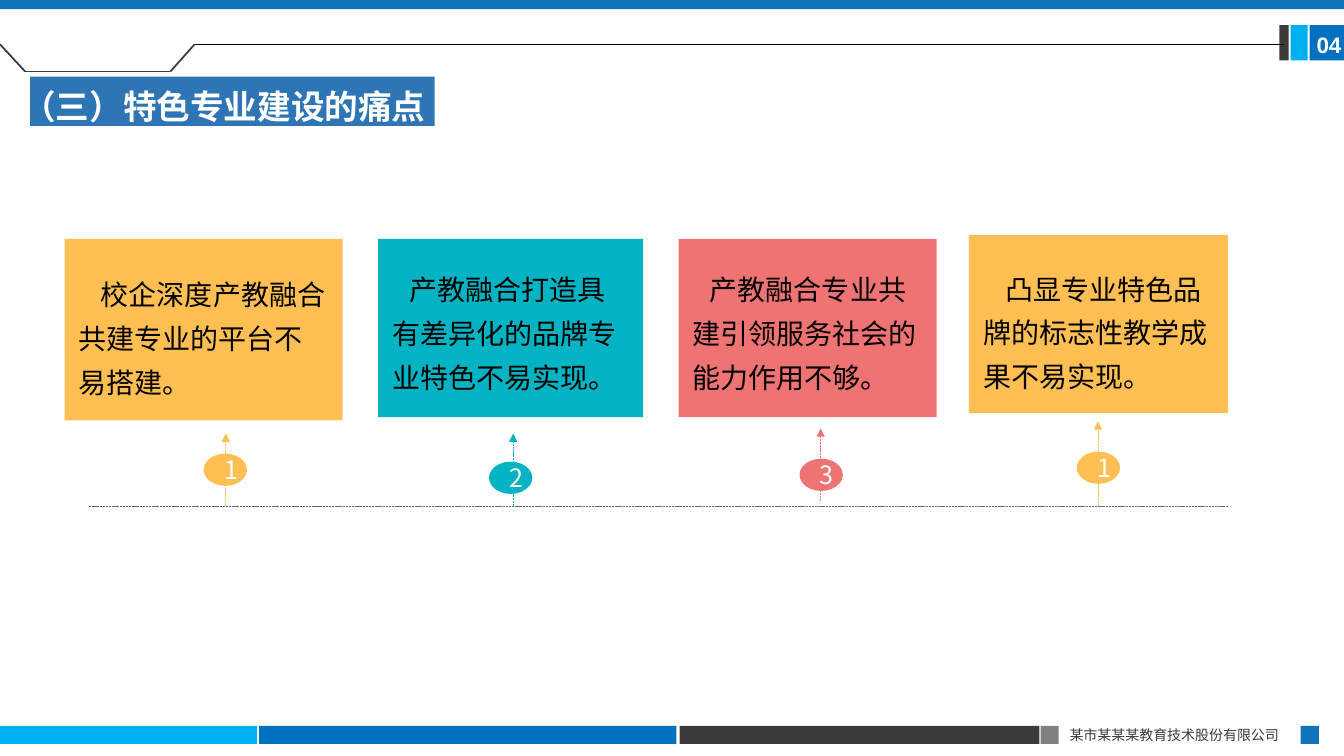
"""Build the slide on the pain points of building distinctive majors."""
from pptx import Presentation
from pptx.dml.color import RGBColor
from pptx.enum.dml import MSO_LINE
from pptx.enum.shapes import MSO_CONNECTOR, MSO_SHAPE
from pptx.enum.text import MSO_ANCHOR, PP_ALIGN
from pptx.oxml.ns import qn
from pptx.util import Inches, Pt
from lxml import etree

RECT, OVAL = MSO_SHAPE.RECTANGLE, MSO_SHAPE.OVAL
STRAIGHT, DASH = MSO_CONNECTOR.STRAIGHT, MSO_LINE.SQUARE_DOT
TOP, MIDDLE = MSO_ANCHOR.TOP, MSO_ANCHOR.MIDDLE
LEFT, CENTER, JUSTIFY = PP_ALIGN.LEFT, PP_ALIGN.CENTER, PP_ALIGN.JUSTIFY
CJK = "Noto Sans CJK SC"

COLORS = {
    "sky": "00B0F0", "blue": "0070C0", "deep": "1074BB", "dark": "3E3A39",
    "gray": "808080", "title": "2E75B6", "amber": "FFBF53", "teal": "02B3C3",
    "coral": "EF7373", "rule": "666666", "black": "000000",
    "white": "FFFFFF", "pale": "FEFFFF",
}

TITLE = "（三）特色专业建设的痛点"
FOOTER = "某市某某某教育技术股份有限公司"
PAGE = "04"

BARS = [
    (0, 7.2, 2.55, 0.18, "sky"),
    (2.57, 7.2, 4.14, 0.18, "blue"),
    (6.74, 7.2, 3.57, 0.18, "dark"),
    (10.32, 7.2, 0.18, 0.18, "gray"),
    (12.9, 7.2, 0.18, 0.18, "deep"),
    (12.99, 0.25, 0.35, 0.35, "blue"),
    (12.8, 0.25, 0.17, 0.35, "sky"),
    (12.69, 0.25, 0.09, 0.35, "dark"),
    (0, 0, 13.33, 0.09, "deep"),
    (0.3, 0.76, 4.01, 0.49, "title"),
]
TAB = [(0, 0.44), (0.25, 0.71), (1.69, 0.71), (1.93, 0.44)]
BASE = 5.02

CARDS = [
    {"text": "校企深度产教融合共建专业的平台不易搭建。", "color": "amber",
     "box": (0.64, 2.37, 2.76, 1.8), "indent": 0.22, "inset": 0.14,
     "num": "1", "oval": (2.02, 4.5), "stem": (2.24, BASE, 4.3)},
    {"text": "产教融合打造具有差异化的品牌专业特色不易实现。", "color": "teal",
     "box": (3.75, 2.37, 2.63, 1.77), "indent": 0.17, "inset": 0.07,
     "num": "2", "oval": (4.85, 4.58), "stem": (5.09, BASE, 4.3)},
    {"text": "产教融合专业共建引领服务社会的能力作用不够。", "color": "coral",
     "box": (6.73, 2.37, 2.56, 1.77), "indent": 0.17, "inset": 0.07,
     "num": "3", "oval": (7.93, 4.55), "stem": (8.14, 4.97, 4.25)},
    {"text": "凸显专业特色品牌的标志性教学成果不易实现。", "color": "amber",
     "box": (9.61, 2.33, 2.57, 1.77), "indent": 0.22, "inset": 0.14,
     "num": "1", "oval": (10.68, 4.48), "stem": (10.89, BASE, 4.18)},
]


def rgb(name):
    """Return the named colour."""
    return RGBColor.from_string(COLORS[name])


def apply(target, values):
    """Set each attribute in values on the target."""
    for key, value in values.items():
        setattr(target, key, value)


def write(shape, text, size, color, font=CJK, bold=False, align=LEFT,
          anchor=TOP, inset=(0.1, 0.05, 0.1, 0.05), space=1.0, indent=0):
    """Fill a shape with one formatted paragraph."""
    frame = shape.text_frame
    sides = ("margin_left", "margin_top", "margin_right", "margin_bottom")
    apply(frame, dict(zip(sides, map(Inches, inset))))
    apply(frame, {"word_wrap": True, "vertical_anchor": anchor})
    para = frame.paragraphs[0]
    apply(para, {"alignment": align, "line_spacing": space})
    if indent:
        para._p.get_or_add_pPr().set("indent", str(Inches(indent)))
    run = para.add_run()
    run.text = text
    apply(run.font, {"size": Pt(size), "bold": bold, "name": font})
    run.font.color.rgb = rgb(color)
    etree.SubElement(run.font._element, qn("a:ea"), typeface=font)


def block(shapes, kind, box, color):
    """Add a flat shape without outline."""
    shape = shapes.add_shape(kind, *map(Inches, box))
    shape.shadow.inherit = False
    shape.fill.solid()
    shape.fill.fore_color.rgb = rgb(color)
    shape.line.fill.background()
    return shape


def link(shapes, start, end, color, width, dash=None, arrow=False):
    """Add a straight line, dashed or with an arrowhead on request."""
    line = shapes.add_connector(STRAIGHT, *map(Inches, (*start, *end)))
    apply(line.line, {"width": Pt(width), "dash_style": dash})
    line.line.color.rgb = rgb(color)
    props = line._element.spPr
    if arrow:
        etree.SubElement(props.find(qn("a:ln")), qn("a:tailEnd"), type="triangle")
    etree.SubElement(props, qn("a:effectLst"))


def label(shapes, box, *args, **style):
    """Add a text box."""
    write(shapes.add_textbox(*map(Inches, box)), *args, **style)


def card(shapes, item):
    """Add one card with its stem and numbered marker."""
    color = item["color"]
    box = block(shapes, RECT, item["box"], color)
    write(box, item["text"], 20, "black", anchor=MIDDLE, space=1.3,
          inset=(0.14, item["inset"], 0.14, 0.07), indent=item["indent"])
    x, low, high = item["stem"]
    link(shapes, (x, low), (x, high), color, 0.5, DASH, True)
    oval = block(shapes, OVAL, (*item["oval"], 0.43, 0.32), color)
    write(oval, item["num"], 18, "pale", align=CENTER, anchor=MIDDLE,
          inset=(0.14, 0.07, 0.14, 0.07))


def main():
    """Build and save the slide."""
    deck = Presentation()
    apply(deck, {"slide_width": Inches(13.33), "slide_height": Inches(7.5)})
    shapes = deck.slides.add_slide(deck.slide_layouts[5]).shapes
    for *box, color in BARS:
        block(shapes, RECT, box, color)
    for start, end in zip(TAB, TAB[1:]):
        link(shapes, start, end, "dark", 1.25)
    link(shapes, TAB[-1], (12.74, 0.44), "black", 0.5)
    label(shapes, (10.51, 7.16, 2.4, 0.27), FOOTER, 10, "dark", align=JUSTIFY)
    label(shapes, (12.96, 0.26, 0.5, 0.37), PAGE, 16, "white", font="Arial", bold=True)

    title = shapes.title
    places = ("left", "top", "width", "height")
    apply(title, dict(zip(places, map(Inches, (0.12, 0.8, 4.63, 0.78)))))
    write(title, TITLE, 24, "white", bold=True)
    shapes._spTree.append(title._element)

    link(shapes, (0.88, BASE), (12.18, BASE), "rule", 0.5, DASH)
    for item in CARDS:
        card(shapes, item)
    deck.save("out.pptx")


if __name__ == "__main__":
    main()
